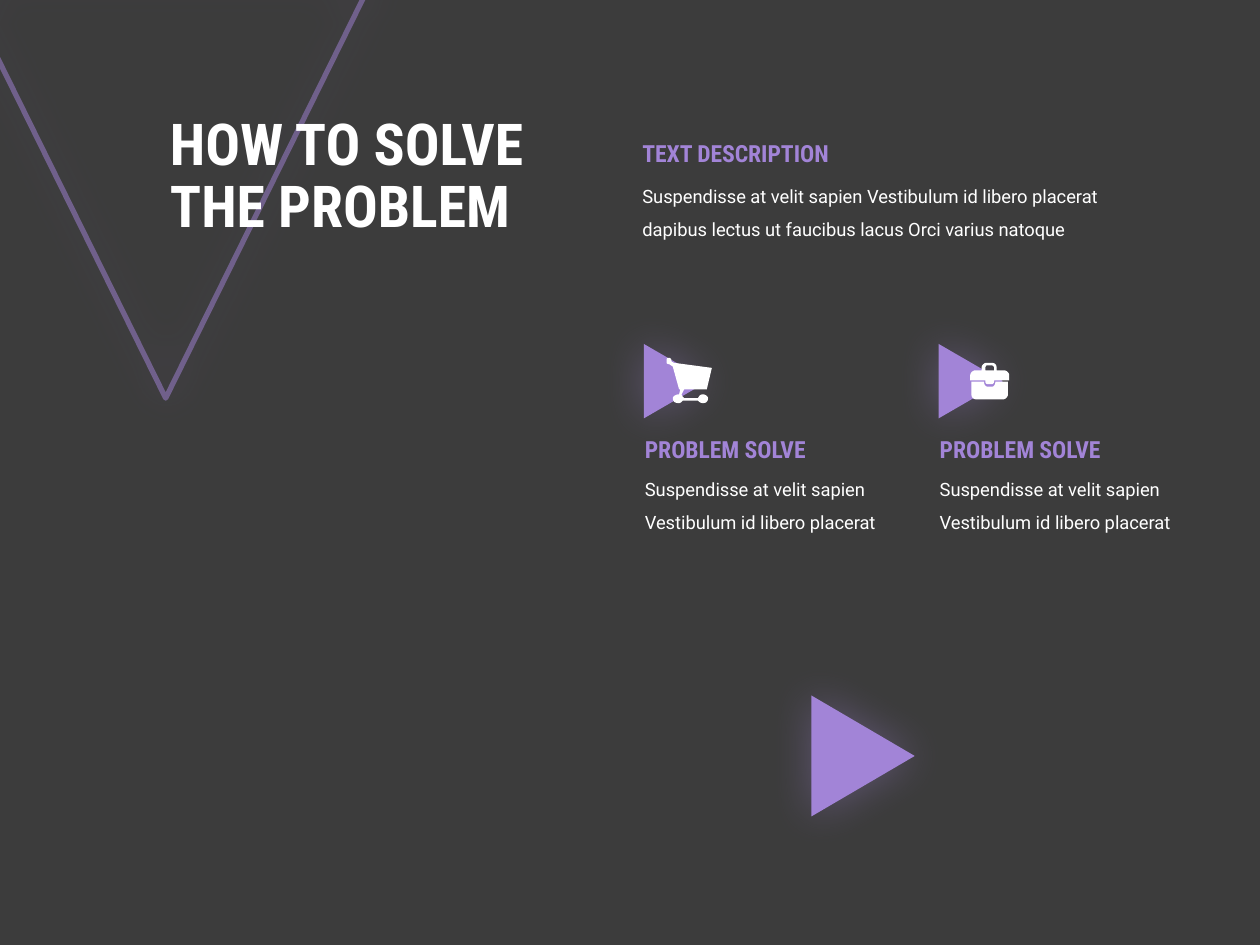
"""Build the problem-solving slide with its triangles, texts and icons."""
from dataclasses import dataclass

from lxml import etree
from pptx import Presentation
from pptx import util as u
from pptx.dml.color import RGBColor
from pptx.enum import shapes, text
from pptx.oxml import ns


@dataclass(frozen=True)
class Theme:
    dark: str = "3C3C3C"
    white: str = "FFFFFF"
    accent: str = "A284D7"
    outline_width: float = 3
    outline_opacity: int = 50
    glow_opacity: int = 35
    glow_blur: float = 25


THEME = Theme()
CONDENSED = {"name": "Roboto Condensed", "bold": True}
STYLES = {
    "title": {"font": {**CONDENSED, "size": u.Pt(33)}, "color": THEME.white, "spacing": 0.9},
    "heading": {"font": {**CONDENSED, "size": u.Pt(13.5)}, "color": THEME.accent, "spacing": 1},
    "body": {"font": {"name": "Roboto", "size": u.Pt(10.5)}, "color": THEME.white, "spacing": 1.5},
}
COLUMNS, ROWS = 10, 7.5
ICON_UNITS = 100
CURVE_STEPS = 8

CART = [[
    [(29, 29), (27, 29, 26, 30, 25, 32), (14, 32), (13, 31, 12, 30, 12, 29),
     (14, 25), (32, 25), (36, 8), (6, 4), (4, 3), (4, 1, 3, 0, 2, 0),
     (0, 0, 0, 1, 0, 3), (0, 4, 0, 5, 2, 5), (5, 7), (10, 25), (11, 25),
     (10, 29), (7, 29, 5, 31, 5, 32), (5, 35, 7, 36, 10, 36),
     (11, 36, 12, 35, 13, 34), (25, 34), (26, 35, 27, 36, 29, 36),
     (31, 36, 33, 35, 33, 32), (33, 31, 31, 29, 29, 29)],
]]
BRIEFCASE_BODY = [
    [(17, 19), (14, 19), (12, 19, 11, 17, 11, 15), (1, 15), (1, 25),
     (1, 27, 2, 29, 5, 29), (26, 29), (28, 29, 30, 27, 30, 25), (30, 15),
     (20, 15), (20, 17, 19, 19, 17, 19)],
]
BRIEFCASE_LID = [
    [(27, 6), (21, 6), (21, 4), (21, 2, 20, 0, 17, 0), (13, 0),
     (11, 0, 9, 2, 9, 4), (9, 6), (4, 6), (2, 6, 0, 8, 0, 10), (0, 14),
     (12, 14), (12, 15), (12, 16, 13, 17, 14, 17), (17, 17),
     (18, 17, 19, 16, 19, 15), (19, 14), (31, 14), (31, 10),
     (31, 8, 29, 6, 27, 6)],
    [(12, 4), (12, 3, 13, 2, 13, 2), (17, 2), (18, 2, 19, 3, 19, 4),
     (19, 6), (12, 6)],
]
BRIEFCASE = [BRIEFCASE_BODY, BRIEFCASE_LID]


def flatten(contour):
    """Return the contour's points with every cubic curve sampled."""
    points = [contour[0]]
    for segment in contour[1:]:
        if len(segment) == 2:
            points.append(segment)
            continue
        controls = [points[-1], segment[:2], segment[2:4], segment[4:]]
        for step in range(1, CURVE_STEPS + 1):
            t = step / CURVE_STEPS
            weights = ((1 - t) ** 3, 3 * t * (1 - t) ** 2, 3 * t * t * (1 - t), t ** 3)
            points.append(tuple(
                sum(weight * control[axis] for weight, control in zip(weights, controls))
                for axis in (0, 1)))
    return [(x * ICON_UNITS, y * ICON_UNITS) for x, y in points]


class SlideBuilder:
    """Hold the theme and the current slide, and draw elements on its grid."""

    def __init__(self, presentation, theme):
        self.theme = theme
        self.column = presentation.slide_width / COLUMNS
        self.row = presentation.slide_height / ROWS
        self.slide = presentation.slides.add_slide(presentation.slide_layouts[6])
        self.paint(self.slide.background.fill, theme.dark)

    def paint(self, fill, color):
        """Make a fill solid in the given colour."""
        fill.solid()
        fill.fore_color.rgb = RGBColor.from_string(color)

    def place(self, left, top, width, height):
        """Turn grid columns and rows into lengths."""
        return (round(left * self.column), round(top * self.row),
                round(width * self.column), round(height * self.row))

    def opacity(self, color, percent):
        """Add an alpha value to a colour element."""
        etree.SubElement(color, ns.qn("a:alpha"), val=str(percent * 1000))

    def triangle(self, box, rotation=90, outlined=False):
        """Draw a glowing triangle, either filled or outlined."""
        shape = self.slide.shapes.add_shape(
            shapes.MSO_SHAPE.ISOSCELES_TRIANGLE, *self.place(*box))
        shape.rotation = rotation
        if outlined:
            shape.fill.background()
            self.paint(shape.line.fill, self.theme.accent)
            shape.line.width = u.Pt(self.theme.outline_width)
            color = shape.line._get_or_add_ln().find(".//" + ns.qn("a:srgbClr"))
            self.opacity(color, self.theme.outline_opacity)
        else:
            self.paint(shape.fill, self.theme.accent)
            shape.line.fill.background()
        shape.shadow.inherit = False
        effects = shape._element.spPr.find(ns.qn("a:effectLst"))
        glow = etree.SubElement(
            effects, ns.qn("a:outerShdw"), blurRad=str(u.Pt(self.theme.glow_blur)),
            dist="0", dir="0", algn="ctr", rotWithShape="0")
        color = etree.SubElement(glow, ns.qn("a:srgbClr"), val=self.theme.accent)
        self.opacity(color, self.theme.glow_opacity)

    def text(self, box, content, style, anchor=text.MSO_ANCHOR.TOP):
        """Write one paragraph in a named style."""
        frame = self.slide.shapes.add_textbox(*self.place(*box)).text_frame
        frame.word_wrap = True
        frame.vertical_anchor = anchor
        paragraph = frame.paragraphs[0]
        paragraph.text = content
        paragraph.line_spacing = STYLES[style]["spacing"]
        for run in paragraph.runs:
            for name, value in STYLES[style]["font"].items():
                setattr(run.font, name, value)
            run.font.color.rgb = RGBColor.from_string(STYLES[style]["color"])

    def icon(self, left, top, parts):
        """Draw the parts of an icon, grouped when there are several."""
        canvas = self.slide.shapes
        if len(parts) > 1:
            canvas = canvas.add_group_shape().shapes
        for contours in parts:
            outlines = [flatten(contour) for contour in contours]
            builder = canvas.build_freeform(
                *outlines[0][0], scale=self.column / ICON_UNITS ** 2)
            for index, points in enumerate(outlines):
                if index:
                    builder.move_to(*points[0])
                builder.add_line_segments(points[1:], close=True)
            shape = builder.convert_to_shape(
                round(left * self.column), round(top * self.row))
            self.paint(shape.fill, self.theme.white)
            shape.line.fill.background()
            shape.shadow.inherit = False


def main():
    """Build and save the slide."""
    presentation = Presentation()
    presentation.slide_width = u.Inches(10)
    presentation.slide_height = u.Inches(7.5)
    slide = SlideBuilder(presentation, THEME)

    slide.triangle((-0.33, -0.17, 3.29, 3.33), rotation=180, outlined=True)
    slide.text((1.25, 0.62, 4.22, 1.58), "HOW TO SOLVE\vTHE PROBLEM", "title",
               text.MSO_ANCHOR.MIDDLE)
    slide.text((5, 1.33, 3.85, 0.6),
               "Suspendisse at velit sapien Vestibulum id libero placerat "
               "dapibus lectus ut faucibus lacus Orci varius natoque", "body")
    slide.text((5, 1.05, 1.84, 0.33), "TEXT DESCRIPTION", "heading")

    cards = [(5.02, 0.27, 2.84, CART), (7.36, 0.34, 2.88, BRIEFCASE)]
    for left, icon_offset, icon_top, icon in cards:
        slide.triangle((left + 0.05, 2.77, 0.59, 0.51))
        slide.text((left, 3.66, 2.07, 0.6),
                   "Suspendisse at velit sapien Vestibulum id libero placerat", "body")
        slide.text((left, 3.4, 1.66, 0.33), "PROBLEM SOLVE", "heading")
        slide.icon(left + icon_offset, icon_top, icon)

    slide.triangle((6.37, 5.59, 0.96, 0.82))
    presentation.save("out.pptx")


if __name__ == "__main__":
    main()
